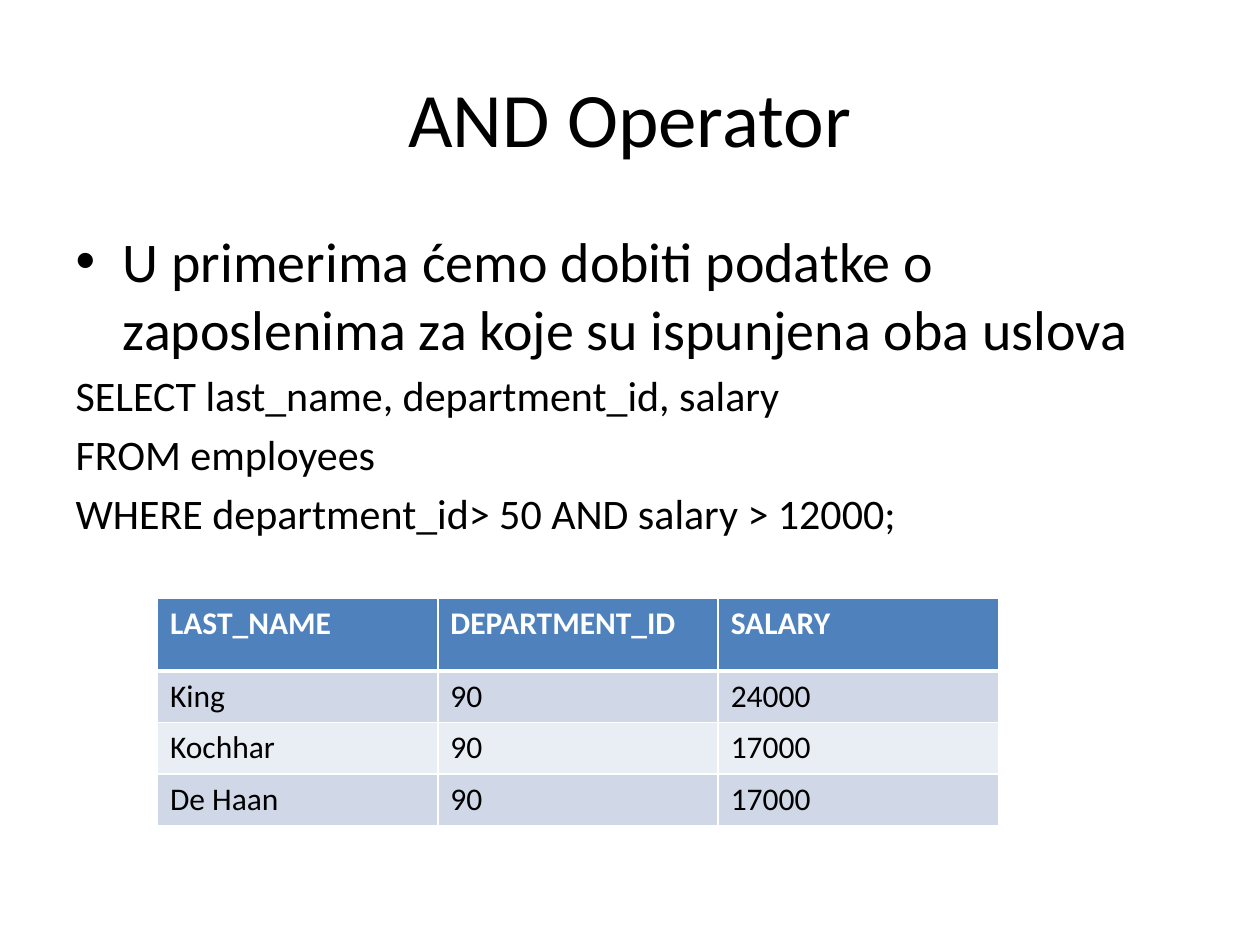
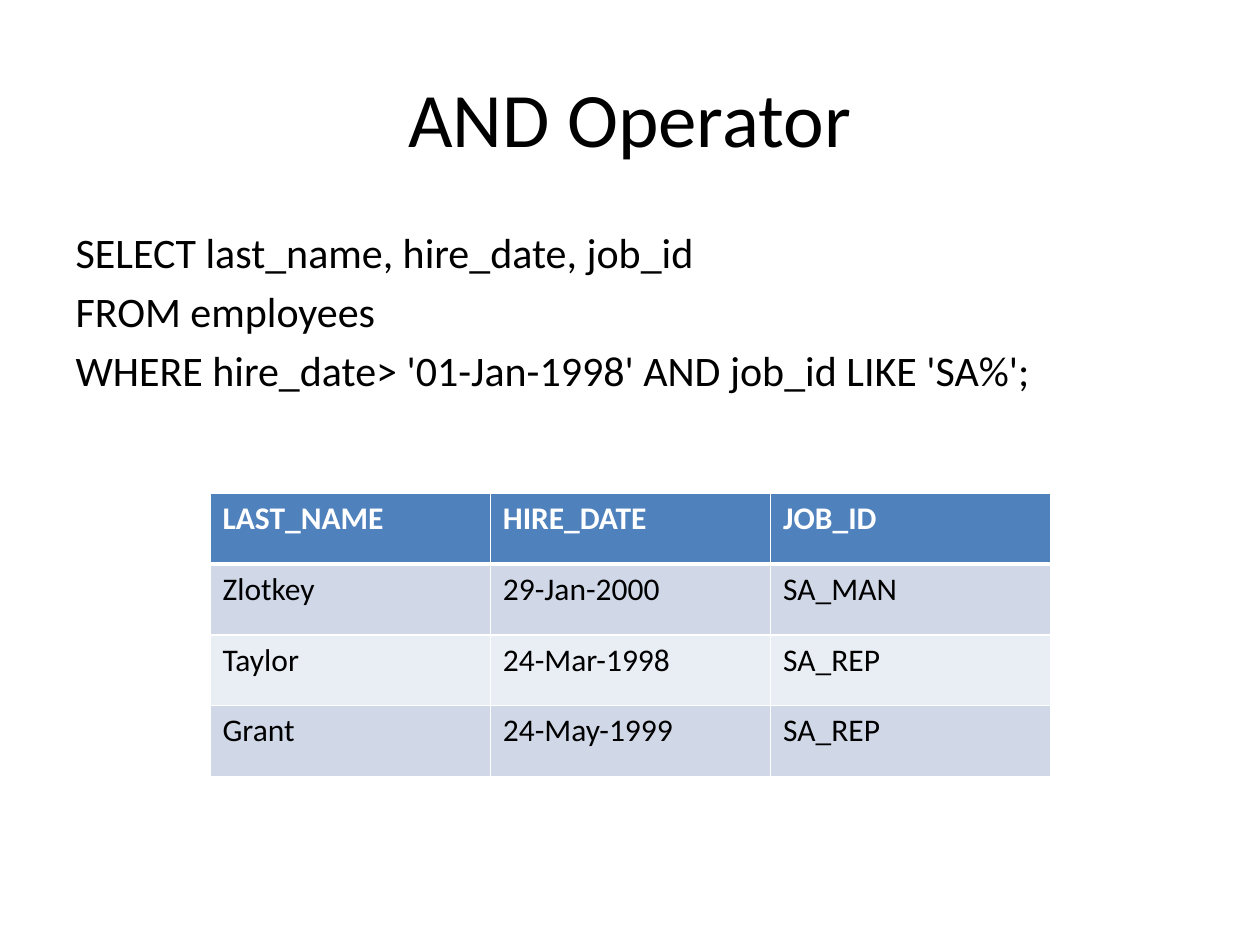
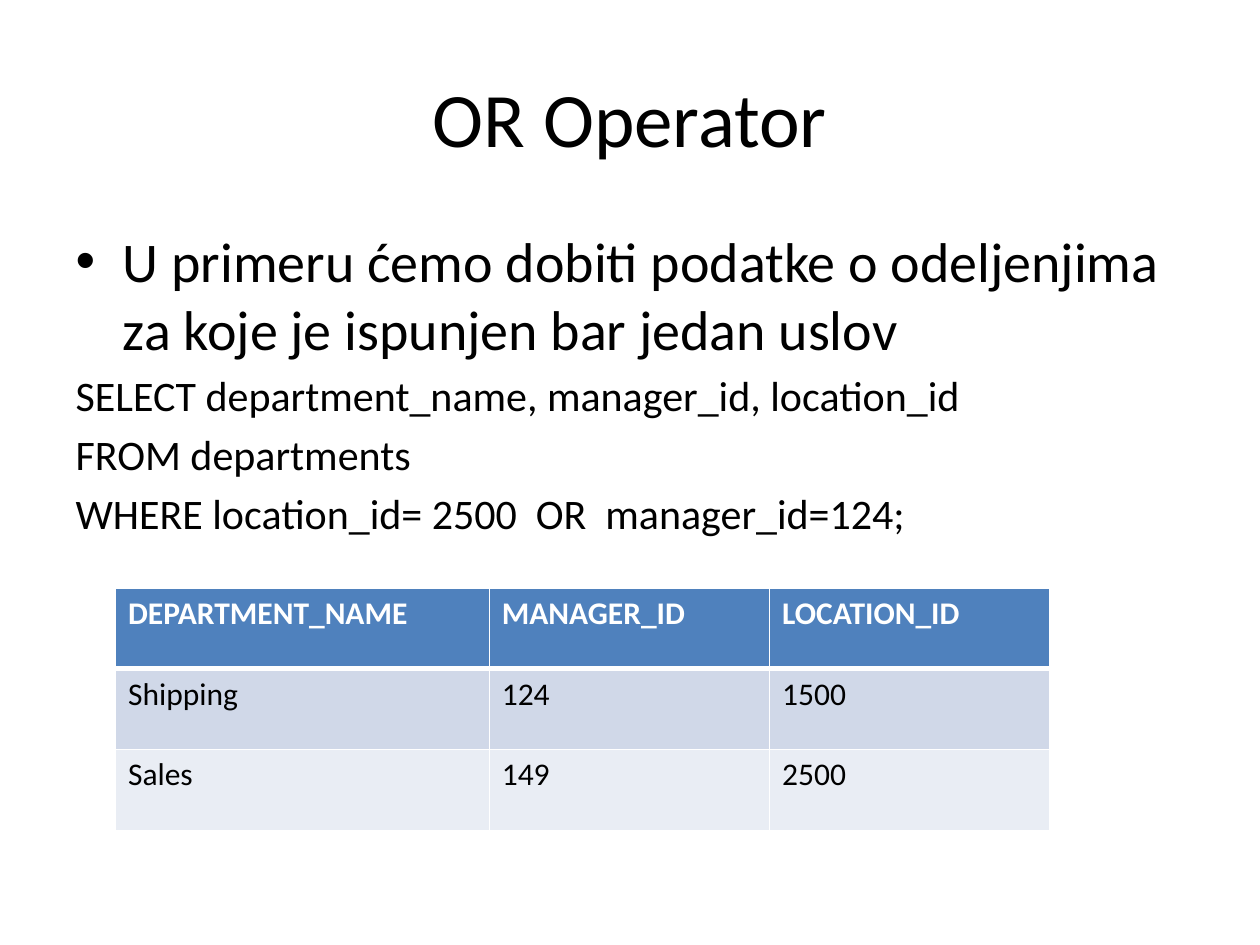
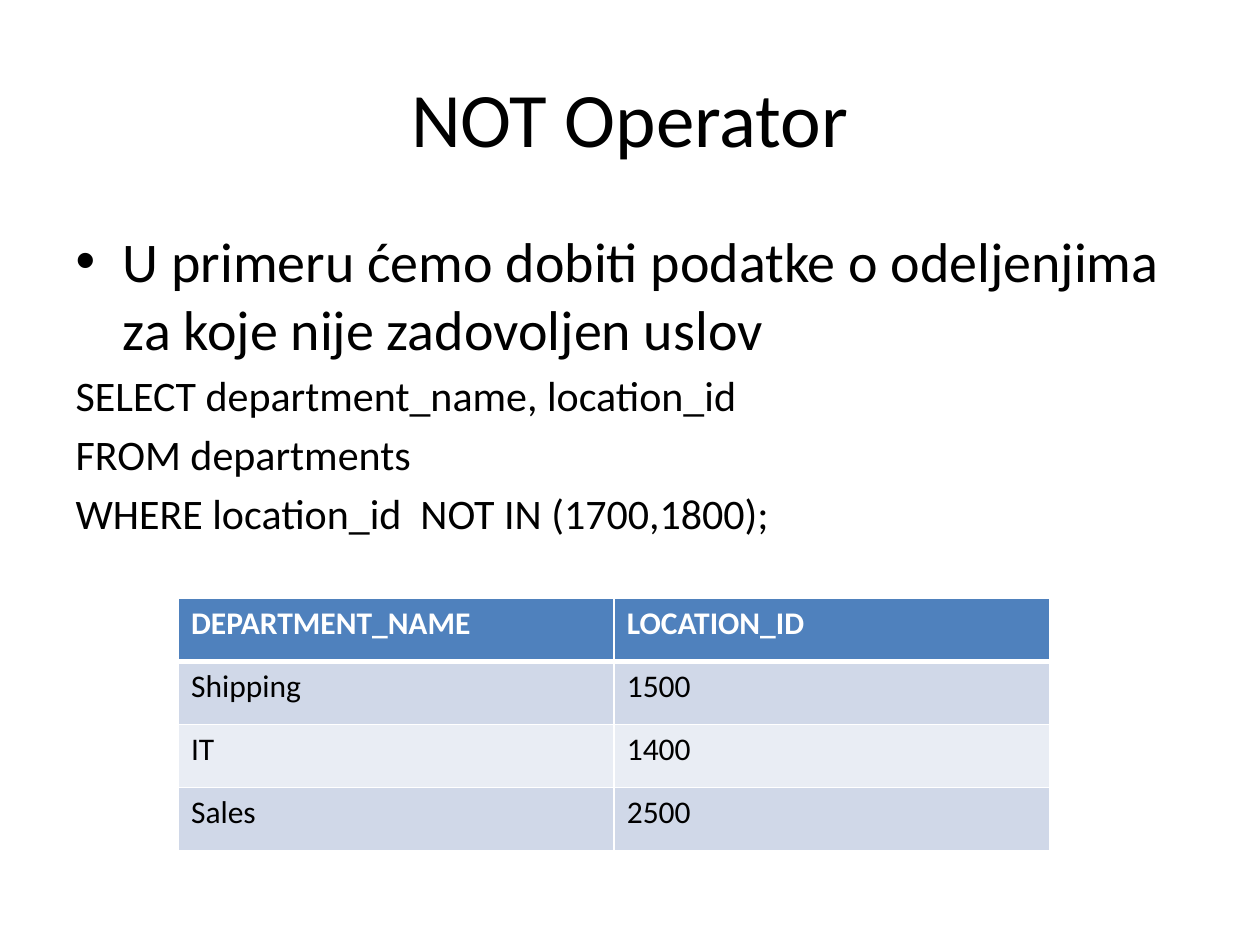
import pptx
import pptx.util
import pptx.dml.color
import pptx.enum.text
import pptx.oxml.ns
import lxml.etree

PX = 914400 // 120  # 120 px to the inch
FONT = "Calibri"
COLORS = {
    "text": "000000",
    "header": "4F81BD",
    "header_text": "FFFFFF",
    "border": "FFFFFF",
    "band_dark": "D0D8E8",
    "band_light": "E9EDF4",
}
TITLE_BOX = (60, 36, 1080, 150)
BODY_BOX = (60, 210, 1080, 594)


def px(n):
    return pptx.util.Emu(n * PX)


def rgb(name):
    return pptx.dml.color.RGBColor.from_string(COLORS[name])


def place(sp, box):
    sp.left, sp.top, sp.width, sp.height = map(px, box)


def set_font(p, size, color="text", bold=False):
    p.font.name = FONT
    p.font.size = pptx.util.Pt(size)
    p.font.bold = bold
    p.font.color.rgb = rgb(color)


def add_sub(parent, tag, **attrs):
    return lxml.etree.SubElement(parent, pptx.oxml.ns.qn(tag), **attrs)


# Title placeholder
def fill_title(slide, text):
    sp = slide.shapes.title
    place(sp, TITLE_BOX)
    p = sp.text_frame.paragraphs[0]
    p.text = text
    p.alignment = pptx.enum.text.PP_ALIGN.CENTER
    set_font(p, 44)


# Body placeholder: an optional bulleted sentence, then unbulleted SQL lines
def fill_body(slide, intro, query):
    sp = slide.placeholders[1]
    place(sp, BODY_BOX)
    tf = sp.text_frame
    lines = ([intro] if intro else []) + query
    tf.text = "\n".join(lines)
    for p, line in zip(tf.paragraphs, lines):
        if line == intro:
            set_font(p, 32)
        else:
            set_font(p, 24)
            add_bullet_none(p)


def add_bullet_none(p):
    pPr = p._p.get_or_add_pPr()
    bullet = lxml.etree.Element(pptx.oxml.ns.qn("a:buNone"))
    pPr.insert(0, bullet)


def set_borders(cell, top, bottom):
    tcPr = cell._tc.get_or_add_tcPr()
    for side, width in (("L", 1), ("R", 1), ("T", top), ("B", bottom)):
        ln = add_sub(tcPr, f"a:ln{side}", w=str(pptx.util.Pt(width)))
        add_sub(add_sub(ln, "a:solidFill"), "a:srgbClr", val=COLORS["border"])


# Result table: blue header, then alternating bands
def add_result_table(slide, left, top, widths, heights, rows):
    frame = slide.shapes.add_table(
        len(rows), len(widths), px(left), px(top), px(sum(widths)), px(sum(heights)))
    table = frame.table
    for column, width in zip(table.columns, widths):
        column.width = px(width)
    for i, (row, height, values) in enumerate(zip(table.rows, heights, rows)):
        row.height = px(height)
        fill = "header" if i == 0 else "band_dark" if i % 2 else "band_light"
        for cell, value in zip(row.cells, values):
            cell.text = value
            set_font(cell.text_frame.paragraphs[0], 18,
                     "text" if i else "header_text", bold=i == 0)
            set_borders(cell, top=3 if i == 1 else 1, bottom=1 if i else 3)
            cell.fill.solid()
            cell.fill.fore_color.rgb = rgb(fill)


def add_operator_slide(prs, title, intro, query, table):
    slide = prs.slides.add_slide(prs.slide_layouts[1])
    fill_title(slide, title)
    fill_body(slide, intro, query)
    add_result_table(slide, **table)


SLIDES = [
    dict(
        title="AND Operator",
        intro="U primerima ćemo dobiti podatke o zaposlenima za koje su ispunjena oba uslova",
        query=["SELECT last_name, department_id, salary",
               "FROM employees",
               "WHERE department_id> 50 AND salary > 12000;"],
        table=dict(left=150, top=570, widths=[267] * 3, heights=[69] + [49] * 3, rows=[
            ("LAST_NAME", "DEPARTMENT_ID", "SALARY"),
            ("King", "90", "24000"),
            ("Kochhar", "90", "17000"),
            ("De Haan", "90", "17000")]),
    ),
    dict(
        title="AND Operator",
        intro=None,
        query=["SELECT last_name, hire_date, job_id",
               "FROM employees",
               "WHERE hire_date> '01-Jan-1998' AND job_id LIKE 'SA%';"],
        table=dict(left=200, top=470, widths=[267] * 3, heights=[67, 68, 67, 68], rows=[
            ("LAST_NAME", "HIRE_DATE", "JOB_ID"),
            ("Zlotkey", "29-Jan-2000", "SA_MAN"),
            ("Taylor", "24-Mar-1998", "SA_REP"),
            ("Grant", "24-May-1999", "SA_REP")]),
    ),
    dict(
        title="OR Operator",
        intro="U primeru ćemo dobiti podatke o odeljenjima za koje je ispunjen bar jedan uslov",
        query=["SELECT department_name, manager_id, location_id",
               "FROM departments",
               "WHERE location_id= 2500  OR  manager_id=124;"],
        table=dict(left=110, top=560, widths=[356, 267, 267], heights=[77] * 3, rows=[
            ("DEPARTMENT_NAME", "MANAGER_ID", "LOCATION_ID"),
            ("Shipping", "124", "1500"),
            ("Sales", "149", "2500")]),
    ),
    dict(
        title="NOT Operator",
        intro="U primeru ćemo dobiti podatke o odeljenjima za koje nije zadovoljen uslov",
        query=["SELECT department_name, location_id",
               "FROM departments",
               "WHERE location_id  NOT IN (1700,1800);"],
        table=dict(left=170, top=570, widths=[415] * 2, heights=[60] * 4, rows=[
            ("DEPARTMENT_NAME", "LOCATION_ID"),
            ("Shipping", "1500"),
            ("IT", "1400"),
            ("Sales", "2500")]),
    ),
]


def main():
    prs = pptx.Presentation()
    prs.slide_width, prs.slide_height = px(1200), px(900)
    for content in SLIDES:
        add_operator_slide(prs, **content)
    prs.save("out.pptx")


if __name__ == "__main__":
    main()
